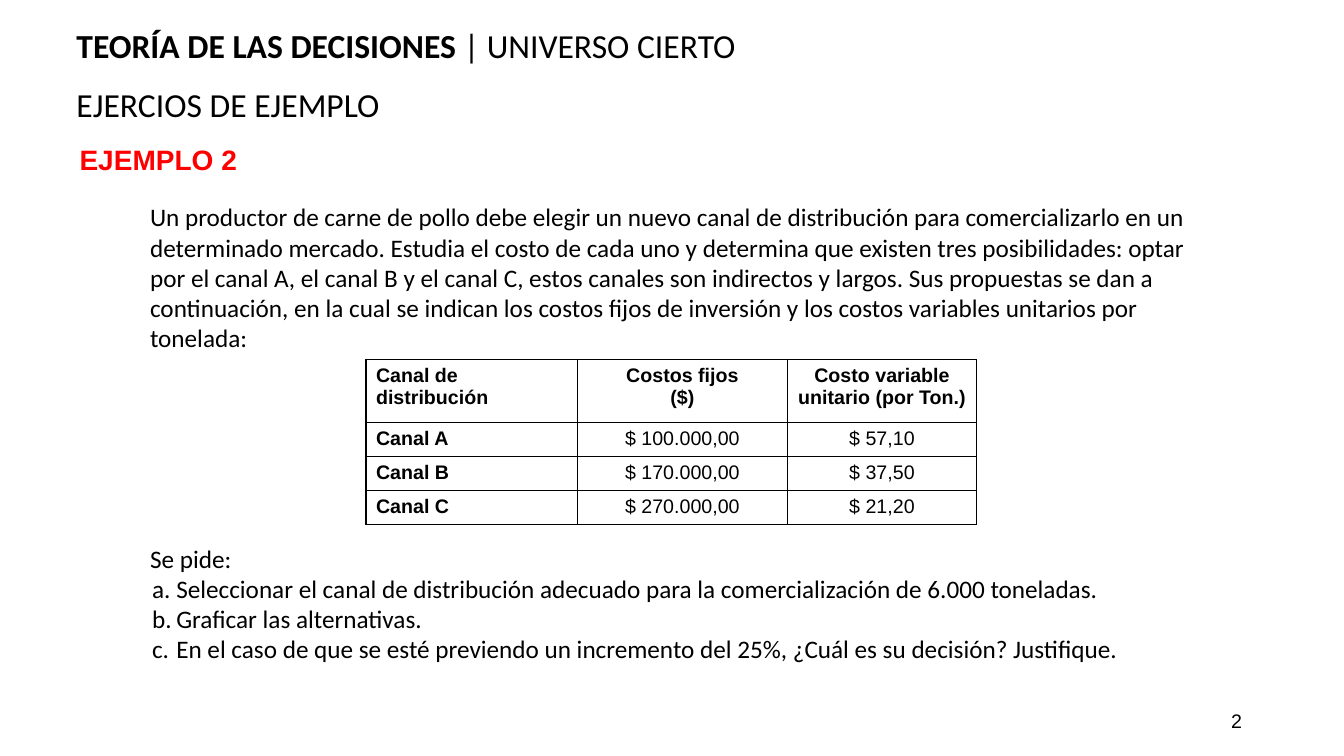
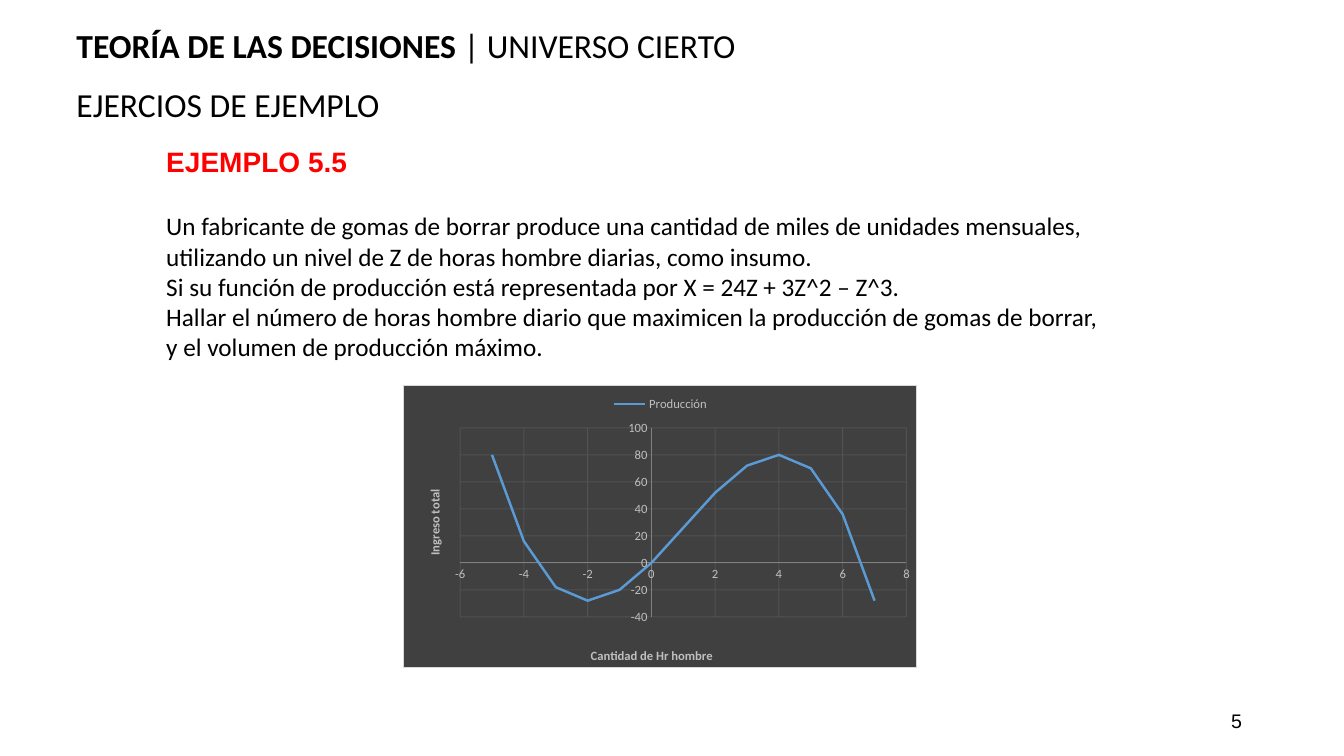
import pptx
import pptx.chart.data
import pptx.dml.color
import pptx.enum.chart
import pptx.enum.text
import pptx.oxml
import pptx.oxml.ns
import pptx.util
from lxml import etree

WIDTH, HEIGHT = pptx.util.Inches(13.33), pptx.util.Inches(7.5)
BLACK, RED, SILVER, GRAY = "000000", "FF0000", "BFBFBF", "808080"
CHARCOAL, GRID, PALE, BLUE = "404040", "595959", "D9D9D9", "5B9BD5"
ALIGN = pptx.enum.text.PP_ALIGN
ANCHOR = pptx.enum.text.MSO_ANCHOR
NUMBERED = {"left": 0.5, "first": -0.24, "numbering": "alphaLcPeriod"}

# Areas are left, top, width, height in percent of the slide.
HEADING = [[("TEORÍA DE LAS DECISIONES ", True), ("| UNIVERSO CIERTO", False)]]
SUBHEADING = ["EJERCIOS DE EJEMPLO"]
HEADING_AREA = (4.95, 3.73, 78.67, 5.6)
SUBHEADING_AREA = (4.95, 9.33, 42.67, 8.8)
NUMBER_AREA = (70.65, 92.67, 22.5, 5.33)

CHANNELS = {
    "number": "2",
    "label": "EJEMPLO 2",
    "label_area": (5.18, 16.4, 73, 9.47),
    "body": [
        "Un productor de carne de pollo debe elegir un nuevo canal de distribución para "
        "comercializarlo en un determinado mercado. Estudia el costo de cada uno y determina "
        "que existen tres posibilidades: optar por el canal A, el canal B y el canal C, estos "
        "canales son indirectos y largos. Sus propuestas se dan a continuación, en la cual se "
        "indican los costos fijos de inversión y los costos variables unitarios por tonelada:",
    ],
    "body_area": (10.43, 25.87, 79.43, 21.6),
}
COSTS = [
    ("Canal de distribución", "Costos fijos\n($)", "Costo variable unitario (por Ton.)"),
    ("Canal A", "$ 100.000,00", "$ 57,10"),
    ("Canal B", "$ 170.000,00", "$ 37,50"),
    ("Canal C", "$ 270.000,00", "$ 21,20"),
]
COSTS_CORNER = (27.23, 47.6)
COST_COLUMNS = (15.75, 15.6, 14.1)
COST_ROWS = (8.33, 4.47, 4.47, 4.47)
TASKS = [
    "Se pide:",
    "Seleccionar el canal de distribución adecuado para la comercialización de 6.000 toneladas.",
    "Graficar las alternativas.",
    "En el caso de que se esté previendo un incremento del 25%, ¿Cuál es su decisión? Justifique.",
]
TASKS_AREA = (8.63, 71.07, 79.43, 17.47)

ERASERS = {
    "number": "5",
    "label": "EJEMPLO 5.5",
    "label_area": (11.63, 16.93, 71.5, 8.8),
    "body": [
        "Un fabricante de gomas de borrar produce una cantidad de miles de unidades mensuales, "
        "utilizando un nivel de Z de horas hombre diarias, como insumo.",
        "Si su función de producción está representada por X = 24Z + 3Z^2 – Z^3.",
        "Hallar el número de horas hombre diario que maximicen la producción de gomas de borrar, "
        "y el volumen de producción máximo.",
    ],
    "body_area": (11.63, 27.07, 71.5, 21.6),
}
HOURS = range(-5, 8)
CHART_AREA = (30, 50.93, 38.25, 37.47)
PLOT_LAYOUT = {"x": 0.11, "y": 0.15, "w": 0.87, "h": 0.67}
HOURS_AXIS = {"title": "Cantidad de Hr hombre", "limits": (-6, 8, 2), "layout": {"x": 0.36, "y": 0.92}}
OUTPUT_AXIS = {"title": "Ingreso total", "limits": (-40, 100, 20), "layout": {"x": 0.04, "y": 0.36}}


def across(share):
    return round(WIDTH * share / 100)


def down(share):
    return round(HEIGHT * share / 100)


def place(area):
    left, top, width, height = area
    return across(left), down(top), across(width), down(height)


def color(value):
    return pptx.dml.color.RGBColor.from_string(value)


def set_font(font, size, face, ink, bold=False):
    font.size, font.name, font.bold = pptx.util.Pt(size), face, bold
    font.color.rgb = color(ink)


def indent(para, left=0, first=0, numbering=None):
    properties = para._p.get_or_add_pPr()
    properties.set("marL", str(pptx.util.Inches(left)))
    properties.set("indent", str(pptx.util.Inches(first)))
    if numbering:
        bullet = etree.SubElement(properties, pptx.oxml.ns.qn("a:buAutoNum"))
        bullet.set("type", numbering)


def write(frame, paragraphs, size=18, face="Calibri", ink=BLACK, bold=False,
          align=ALIGN.LEFT, spacing=None, indents=()):
    for index, content in enumerate(paragraphs):
        para = frame.add_paragraph() if index else frame.paragraphs[0]
        para.alignment = align
        if spacing:
            para.line_spacing = spacing
        if indents:
            indent(para, **indents[index])
        for text, heavy in [(content, bold)] if isinstance(content, str) else content:
            span = para.add_run()
            span.text = text
            set_font(span.font, size, face, ink, heavy)


def add_text(page, area, paragraphs, anchor=ANCHOR.MIDDLE, **style):
    box = page.shapes.add_textbox(*place(area))
    box.text_frame.word_wrap = True
    box.text_frame.vertical_anchor = anchor
    write(box.text_frame, paragraphs, **style)


def add_page(deck, topic):
    page = deck.slides.add_slide(deck.slide_layouts[6])
    add_text(page, NUMBER_AREA, [topic["number"]], size=14, face="Arial", align=ALIGN.RIGHT)
    add_text(page, topic["label_area"], [topic["label"]], size=20, face="Arial", ink=RED, bold=True)
    add_text(page, topic["body_area"], topic["body"])
    add_text(page, HEADING_AREA, HEADING, anchor=ANCHOR.BOTTOM, size=24, spacing=0.9)
    add_text(page, SUBHEADING_AREA, SUBHEADING, anchor=ANCHOR.TOP, size=24, spacing=1.2)
    return page


def border(cell):
    properties = cell._tc.get_or_add_tcPr()
    for side in ("lnL", "lnR", "lnT", "lnB"):
        line = etree.SubElement(properties, pptx.oxml.ns.qn("a:" + side), w=str(pptx.util.Pt(1)))
        fill = etree.SubElement(line, pptx.oxml.ns.qn("a:solidFill"))
        etree.SubElement(fill, pptx.oxml.ns.qn("a:srgbClr"), val=BLACK)


def add_costs(page):
    area = (*COSTS_CORNER, sum(COST_COLUMNS), sum(COST_ROWS))
    table = page.shapes.add_table(len(COST_ROWS), len(COST_COLUMNS), *place(area)).table
    table.first_row = table.horz_banding = False
    for column, share in zip(table.columns, COST_COLUMNS):
        column.width = across(share)
    for row, share in zip(table.rows, COST_ROWS):
        row.height = down(share)
    for row, texts in enumerate(COSTS):
        for column, text in enumerate(texts):
            cell = table.cell(row, column)
            border(cell)
            cell.fill.background()
            write(cell.text_frame, text.split("\n"), size=14, face="Arial",
                  bold=row == 0 or column == 0, align=ALIGN.CENTER if column else ALIGN.LEFT)


def set_layout(parent, shares):
    for old in parent.findall(pptx.oxml.ns.qn("c:layout")):
        parent.remove(old)
    layout = etree.Element(pptx.oxml.ns.qn("c:layout"))
    manual = etree.SubElement(layout, pptx.oxml.ns.qn("c:manualLayout"))
    settings = {"xMode": "edge", "yMode": "edge", **shares}
    if "w" in shares:
        settings = {"layoutTarget": "inner", **settings}
    for name, value in settings.items():
        etree.SubElement(manual, pptx.oxml.ns.qn("c:" + name), val=str(value))
    text = parent.find(pptx.oxml.ns.qn("c:tx"))
    parent.insert(0 if text is None else 1, layout)


def set_line(line, ink, width=0.75):
    line.color.rgb = color(ink)
    line.width = pptx.util.Pt(width)


def style_axis(axis, title, limits, layout):
    axis.minimum_scale, axis.maximum_scale, axis.major_unit = limits
    axis.major_tick_mark = axis.minor_tick_mark = pptx.enum.chart.XL_TICK_MARK.NONE
    axis.has_major_gridlines = True
    set_line(axis.format.line, GRAY)
    gridlines = axis.major_gridlines.format.line
    set_line(gridlines, GRID)
    for tint in axis.major_gridlines._xAx.iterfind(".//" + pptx.oxml.ns.qn("c:majorGridlines")
                                                   + "//" + pptx.oxml.ns.qn("a:srgbClr")):
        etree.SubElement(tint, pptx.oxml.ns.qn("a:alpha"), val="75000")
    set_font(axis.tick_labels.font, 9, "Calibri", SILVER)
    write(axis.axis_title.text_frame, [title], size=9, ink=SILVER, bold=True, align=ALIGN.CENTER)
    set_layout(axis.axis_title._element, layout)


def fill_chart(chart):
    properties = pptx.oxml.parse_xml(
        f'<c:spPr {pptx.oxml.ns.nsdecls("c", "a")}>'
        f'<a:solidFill><a:srgbClr val="{CHARCOAL}"/></a:solidFill>'
        f'<a:ln w="{pptx.util.Pt(0.75)}"><a:solidFill><a:srgbClr val="{PALE}"/></a:solidFill></a:ln>'
        '</c:spPr>')
    chart._chartSpace.find(pptx.oxml.ns.qn("c:txPr")).addprevious(properties)


def add_production(page):
    data = pptx.chart.data.XyChartData()
    points = data.add_series("Producción")
    for hours in HOURS:
        points.add_data_point(hours, 24 * hours + 3 * hours ** 2 - hours ** 3)
    kind = pptx.enum.chart.XL_CHART_TYPE.XY_SCATTER_SMOOTH_NO_MARKERS
    chart = page.shapes.add_chart(kind, *place(CHART_AREA), data).chart
    set_font(chart.font, 10, "Calibri", BLACK)
    fill_chart(chart)
    chart.has_title = False
    chart.has_legend = True
    chart.legend.position = pptx.enum.chart.XL_LEGEND_POSITION.TOP
    chart.legend.include_in_layout = False
    set_font(chart.legend.font, 9, "Calibri", SILVER)
    style_axis(chart.category_axis, **HOURS_AXIS)
    style_axis(chart.value_axis, **OUTPUT_AXIS)
    set_layout(chart._chartSpace.chart.plotArea, PLOT_LAYOUT)
    plot = chart.plots[0]
    plot.vary_by_categories = False
    curve = plot.series[0]
    curve.smooth = True
    curve.marker.style = pptx.enum.chart.XL_MARKER_STYLE.NONE
    set_line(curve.format.line, BLUE, 1.75)


def main():
    deck = pptx.Presentation()
    deck.slide_width, deck.slide_height = WIDTH, HEIGHT
    channels = add_page(deck, CHANNELS)
    add_costs(channels)
    add_text(channels, TASKS_AREA, TASKS, indents=[{"first": 0.24}] + [NUMBERED] * (len(TASKS) - 1))
    add_production(add_page(deck, ERASERS))
    deck.save("out.pptx")


if __name__ == "__main__":
    main()
